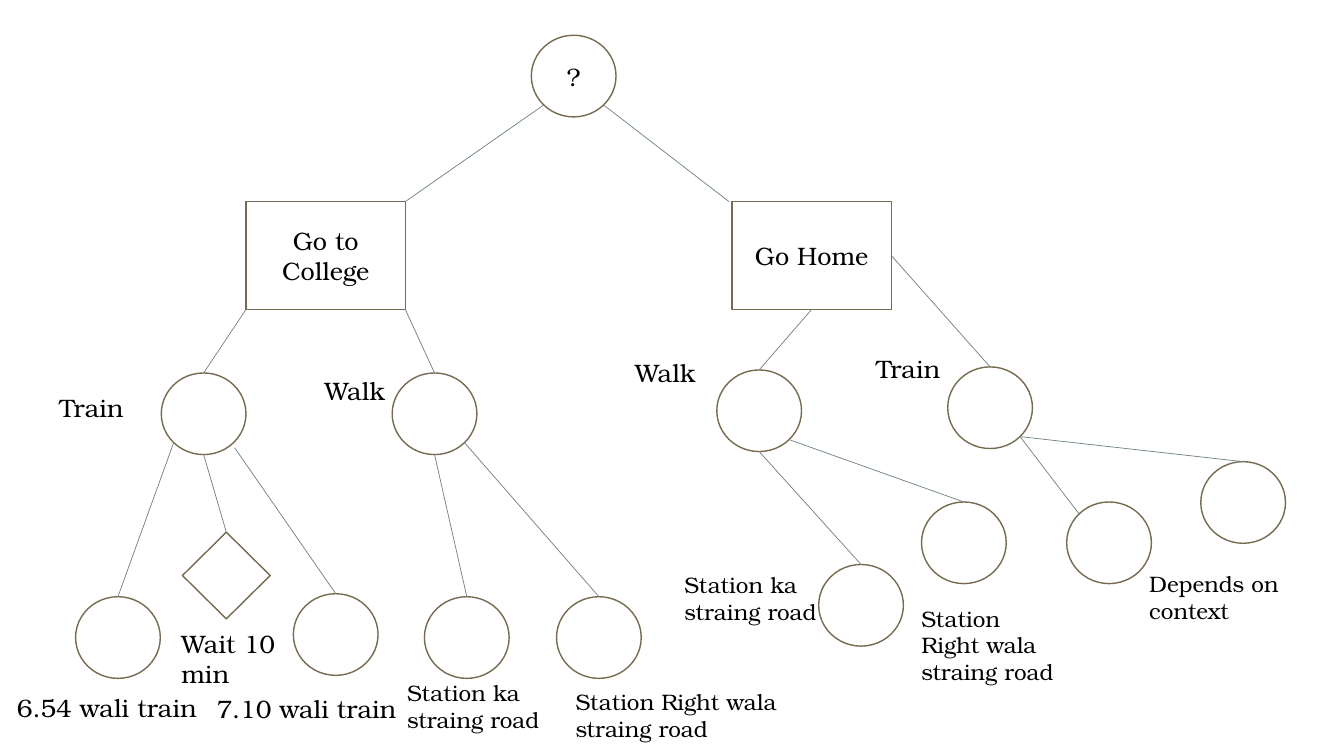
from lxml.etree import SubElement
from pptx import Presentation
from pptx.dml.color import RGBColor
from pptx.enum.shapes import MSO_CONNECTOR, MSO_SHAPE
from pptx.enum.text import MSO_ANCHOR, MSO_AUTO_SIZE, PP_ALIGN
from pptx.oxml.ns import qn
from pptx.util import Pt

PX = 9144  # EMU per px, 100 px to the inch
FONT = "TeX Gyre Bonum"
COLORS = {"fill": "FFFFFF", "outline": "766A50", "link": "6F8183", "text": "000000"}

# Node kinds: preset shape, width, height, inset of the diagonal anchors
KINDS = {
    "state": (MSO_SHAPE.OVAL, 84, 81, 0.146),
    "goal": (MSO_SHAPE.RECTANGLE, 158, 107, 0),
    "wait": (MSO_SHAPE.DIAMOND, 87, 86, 0.25),
}

# Nodes: kind, left, top, text
NODES = {
    "start": ("state", 527, 35, "?"),
    "college": ("goal", 244, 200, "Go to College"),
    "home": ("goal", 726, 200, "Go Home"),
    "college train": ("state", 160, 370, ""),
    "college walk": ("state", 389, 370, ""),
    "train 6.54": ("state", 75, 592, ""),
    "wait": ("wait", 181, 528, ""),
    "train 7.10": ("state", 291, 589, ""),
    "college straight": ("state", 421, 592, ""),
    "college right": ("state", 552, 592, ""),
    "home walk": ("state", 711, 367, ""),
    "home train": ("state", 940, 364, ""),
    "home straight": ("state", 812, 560, ""),
    "home right": ("state", 914, 498, ""),
    "context near": ("state", 1058, 498, ""),
    "context far": ("state", 1191, 458, ""),
}

# Links: node, side, node, side
LINKS = [
    ("start", "SW", "college", "NE"),
    ("start", "SE", "home", "NW"),
    ("college", "SW", "college train", "N"),
    ("college", "SE", "college walk", "N"),
    ("college train", "SW", "train 6.54", "N"),
    ("college train", "S", "wait", "N"),
    ("college train", "SE", "train 7.10", "N"),
    ("college walk", "S", "college straight", "N"),
    ("college walk", "SE", "college right", "N"),
    ("home", "S", "home walk", "N"),
    ("home", "E", "home train", "N"),
    ("home walk", "S", "home straight", "N"),
    ("home walk", "SE", "home right", "N"),
    ("home train", "SE", "context near", "NW"),
    ("home train", "SE", "context far", "N"),
]
# Links that start or end a little off their anchor: dx, dy
NUDGES = {
    ("start", "home"): (0, 0, -3, 0),
    ("college train", "train 7.10"): (1, 5, 0, 0),
}

# Labels: text, left, top, width, height, font size
LABELS = [
    ("Train", 49, 384, 162, 40, 18),
    ("Walk", 312, 367, 98, 40, 18),
    ("Walk", 620, 350, 98, 40, 18),
    ("Train", 859, 346, 162, 40, 18),
    ("6.54 wali train", 7, 682, 216, 40, 18),
    ("Wait 10 min", 170, 618, 153, 71, 18),
    ("7.10 wali train", 205, 683, 216, 40, 18),
    ("Station ka straing road", 394, 669, 199, 64, 16),
    ("Station Right wala straing road", 561, 678, 225, 64, 16),
    ("Station ka straing road", 669, 562, 199, 64, 16),
    ("Station Right wala straing road", 904, 595, 156, 91, 16),
    ("Depends on context", 1130, 561, 190, 64, 16),
]


def emu(*lengths):
    return [round(n * PX) for n in lengths]


def rgb(name):
    return RGBColor.from_string(COLORS[name])


def write(tf, text, size, align=PP_ALIGN.LEFT):
    tf.word_wrap = True
    p = tf.paragraphs[0]
    p.text, p.alignment = text, align
    p.font.name, p.font.size = FONT, Pt(size)
    p.font.color.rgb = rgb("text")


def anchor(node, side):
    kind, left, top, _ = NODES[node]
    _, width, height, inset = KINDS[kind]
    edge = inset if len(side) == 2 else 0
    fx = edge if "W" in side else 1 - edge if "E" in side else 0.5
    fy = edge if "N" in side else 1 - edge if "S" in side else 0.5
    return left + fx * width, top + fy * height


prs = Presentation()
prs.slide_width, prs.slide_height = emu(1333, 750)
s = prs.slides.add_slide(prs.slide_layouts[6])

# Nodes
for kind, left, top, text in NODES.values():
    preset, width, height, _ = KINDS[kind]
    sp = s.shapes.add_shape(preset, *emu(left, top, width, height))
    sp.shadow.inherit = False
    sp.fill.solid()
    sp.fill.fore_color.rgb = rgb("fill")
    sp.line.color.rgb = rgb("outline")
    sp.line.width = Pt(1)
    if text:
        sp.text_frame.vertical_anchor = MSO_ANCHOR.MIDDLE
        write(sp.text_frame, text, 18, PP_ALIGN.CENTER)

# Links
for parent, out_side, child, in_side in LINKS:
    ends = anchor(parent, out_side) + anchor(child, in_side)
    nudge = NUDGES.get((parent, child), (0, 0, 0, 0))
    points = emu(*(end + shift for end, shift in zip(ends, nudge)))
    link = s.shapes.add_connector(MSO_CONNECTOR.STRAIGHT, *points)
    link.line.color.rgb = rgb("link")
    link.line.width = Pt(0.5)
    SubElement(link._element.spPr, qn("a:effectLst"))

# Labels
for text, left, top, width, height, size in LABELS:
    tf = s.shapes.add_textbox(*emu(left, top, width, height)).text_frame
    write(tf, text, size)
    tf.auto_size = MSO_AUTO_SIZE.SHAPE_TO_FIT_TEXT

prs.save("out.pptx")
